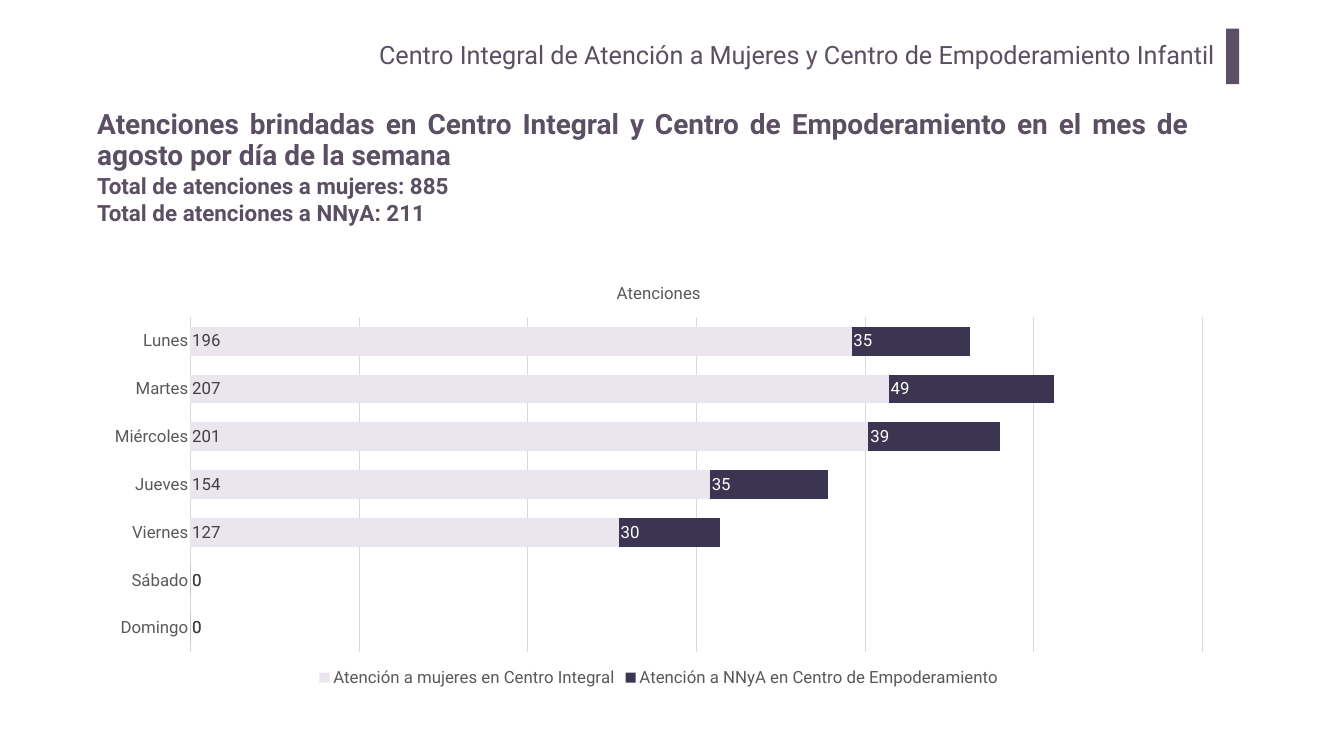
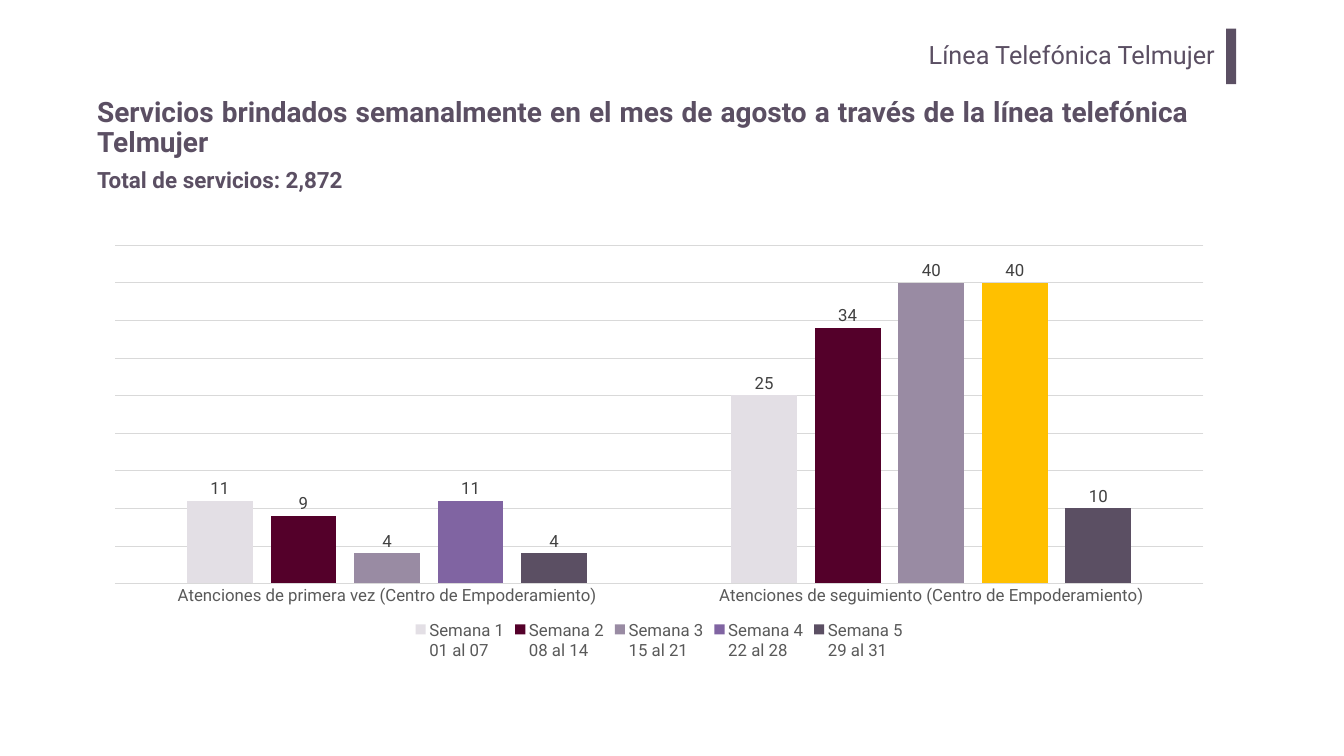
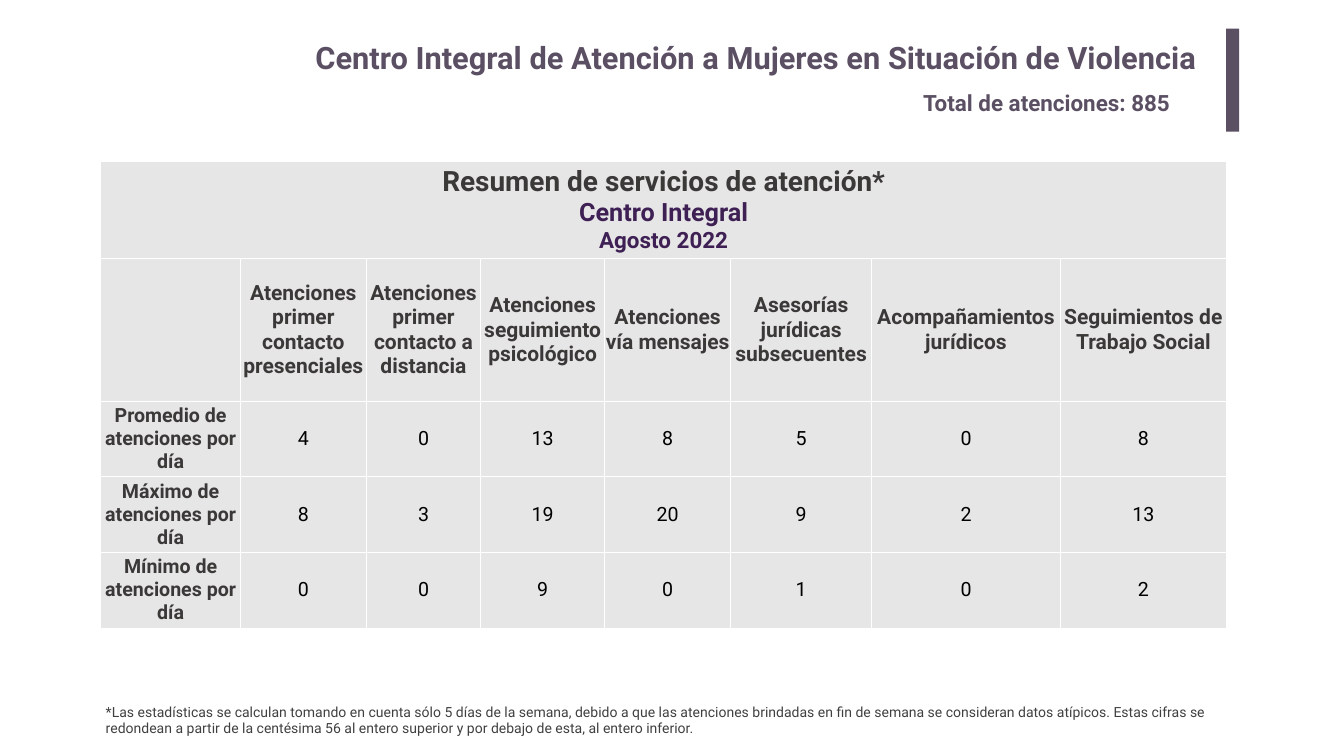
from pptx import Presentation
from pptx.chart.data import CategoryChartData
from pptx.dml.color import RGBColor
from pptx.enum.chart import XL_CHART_TYPE, XL_LABEL_POSITION, XL_LEGEND_POSITION, XL_TICK_MARK
from pptx.enum.shapes import MSO_SHAPE
from pptx.enum.text import MSO_ANCHOR, MSO_AUTO_SIZE, PP_ALIGN
from pptx.oxml.ns import qn
from pptx.util import Inches, Pt
from lxml import etree

LEFT, RIGHT, CENTER, JUSTIFY = PP_ALIGN.LEFT, PP_ALIGN.RIGHT, PP_ALIGN.CENTER, PP_ALIGN.JUSTIFY
TOP, MIDDLE = MSO_ANCHOR.TOP, MSO_ANCHOR.MIDDLE
STACKED_BARS, COLUMNS = XL_CHART_TYPE.BAR_STACKED, XL_CHART_TYPE.COLUMN_CLUSTERED
INSIDE_BASE, OUTSIDE_END = XL_LABEL_POSITION.INSIDE_BASE, XL_LABEL_POSITION.OUTSIDE_END

FONT = "Roboto"
COLORS = {
    "purple": "5B4F63", "white": "FFFFFF", "black": "000000",
    "label": "404040", "axis": "595959", "grid": "D9D9D9",
    "cell": "E7E6E6", "heading": "3B3838", "violet": "3E2054",
    "lilac": "EBE5EF", "navy": "3C3551", "mist": "E3DFE5", "wine": "54002A",
    "mauve": "998BA3", "orchid": "8064A2", "gold": "FFC000",
}


def color(name):
    return RGBColor.from_string(COLORS[name])


def style_font(font, size, tone, bold=False):
    font.name, font.size, font.bold = FONT, Pt(size), bold
    font.color.rgb = color(tone)


def write_text(frame, lines, size=32, tone="purple", bold=False, align=LEFT, spacing=None):
    """Write lines; each is a string or a (string, format changes) pair."""
    if isinstance(lines, str):
        lines = [lines]
    for index, line in enumerate(lines):
        text, changes = (line, {}) if isinstance(line, str) else line
        para = frame.paragraphs[0] if index == 0 else frame.add_paragraph()
        para.alignment = align
        if spacing:
            para.line_spacing = spacing
        span = para.add_run()
        span.text = text
        style_font(span.font, **{"size": size, "tone": tone, "bold": bold, **changes})


class Report:
    def __init__(self):
        self.deck = Presentation()
        self.deck.slide_width, self.deck.slide_height = Inches(26.67), Inches(15)
        self.page = None

    def add_page(self):
        self.page = self.deck.slides.add_slide(self.deck.slide_layouts[6])
        background = self.page.background.fill
        background.solid()
        background.fore_color.rgb = color("white")

    def text(self, area, lines, inset=0.1, anchor=TOP, grow=False, **style):
        box = self.page.shapes.add_textbox(*map(Inches, area))
        frame = box.text_frame
        frame.word_wrap = True
        frame.auto_size = MSO_AUTO_SIZE.SHAPE_TO_FIT_TEXT if grow else MSO_AUTO_SIZE.NONE
        frame.vertical_anchor = anchor
        frame.margin_left = frame.margin_right = Inches(inset)
        frame.margin_top = frame.margin_bottom = Inches(inset / 2)
        write_text(frame, lines, **style)

    def header(self, title, left=4.01, size=36, bold=False, bar_width=0.26, bar_height=1.1):
        self.text((left, 0.67, 20.3, 1.02), title, inset=0.2, size=size, bold=bold, align=RIGHT)
        bar = self.page.shapes.add_shape(
            MSO_SHAPE.RECTANGLE, *map(Inches, (24.33, 0.57, bar_width, bar_height)))
        bar.shadow.inherit = False
        bar.fill.solid()
        bar.fill.fore_color.rgb = color("purple")
        bar.line.fill.background()

    def subtitle(self, top, text):
        self.text((1.83, top, 21.85, 1.45), text, anchor=MIDDLE, size=40, bold=True,
                  align=JUSTIFY, spacing=0.9)

    def total(self, area, lines):
        self.text(area, lines, grow=True, bold=True)

    def chart(self, kind, area, categories, series, label_position, gap, overlap,
              maximum, step, title=None):
        data = CategoryChartData()
        data.categories = categories
        for name, values, _ in series:
            data.add_series(name, values)
        chart = self.page.shapes.add_chart(kind, *map(Inches, area), data).chart
        style_font(chart.font, 24, "axis")

        # Title and legend
        chart.has_title = bool(title)
        if title:
            write_text(chart.chart_title.text_frame, title, size=24, tone="axis", align=CENTER)
        chart.has_legend = True
        chart.legend.position = XL_LEGEND_POSITION.BOTTOM
        chart.legend.include_in_layout = False
        style_font(chart.legend.font, 24, "axis")

        # Axes
        category_axis, value_axis = chart.category_axis, chart.value_axis
        category_axis.major_tick_mark = XL_TICK_MARK.NONE
        style_font(category_axis.tick_labels.font, 24, "axis")
        value_axis.minimum_scale, value_axis.maximum_scale = 0, maximum
        value_axis.major_unit = step
        value_axis.has_major_gridlines = True
        value_axis.visible = False
        for line in (category_axis.format.line, value_axis.major_gridlines.format.line):
            line.color.rgb = color("grid")
            line.width = Pt(0.75)

        # Bars and their labels
        plot = chart.plots[0]
        plot.gap_width, plot.overlap, plot.vary_by_categories = gap, overlap, False
        for bars, (_, _, tone) in zip(plot.series, series):
            bars.invert_if_negative = False
            bars.format.fill.solid()
            bars.format.fill.fore_color.rgb = color(tone)
            bars.data_labels.show_value = True
            bars.data_labels.position = label_position
            style_font(bars.data_labels.font, 24, "label")
        return plot

    def cell(self, cell, lines, **style):
        cell.margin_left = cell.margin_right = cell.margin_top = cell.margin_bottom = 0
        cell.vertical_anchor = MIDDLE
        if lines:
            write_text(cell.text_frame, lines, align=CENTER, **style)
        properties = cell._tc.get_or_add_tcPr()
        for side in ("a:lnL", "a:lnR", "a:lnT", "a:lnB"):
            border = etree.SubElement(properties, qn(side), w=str(Pt(1)))
            paint = etree.SubElement(border, qn("a:solidFill"))
            etree.SubElement(paint, qn("a:srgbClr"), val=COLORS["white"])
        cell.fill.solid()
        cell.fill.fore_color.rgb = color("cell")

    def table(self, area, widths, heights, caption, headings, rows):
        grid = self.page.shapes.add_table(len(heights), len(widths), *map(Inches, area)).table
        for column, width in zip(grid.columns, widths):
            column.width = Inches(width)
        for row, height in zip(grid.rows, heights):
            row.height = Inches(height)
        contents = [[caption] + [""] * (len(widths) - 1), headings, *rows]
        for r, line in enumerate(contents):
            for c, content in enumerate(line):
                label = r < 2 or c == 0
                self.cell(grid.cell(r, c), content, size=30 if r == 1 else 28,
                          tone="heading" if label else "black", bold=label)
        grid.cell(0, 0).merge(grid.cell(0, len(widths) - 1))


def build_weekdays(report):
    report.add_page()
    report.header("Centro Integral de Atención a Mujeres y Centro de Empoderamiento Infantil")
    report.subtitle(2.07, "Atenciones brindadas en Centro Integral y Centro de Empoderamiento "
                          "en el mes de agosto por día de la semana")
    report.total((1.83, 3.36, 8.12, 1.18),
                 ["Total de atenciones a mujeres: 885", "Total de atenciones a NNyA: 211"])
    children = (0, 0, 30, 35, 39, 49, 35)
    plot = report.chart(
        STACKED_BARS, (1.83, 5.31, 22.48, 8.4),
        ["Domingo", "Sábado", "Viernes", "Jueves", "Miércoles", "Martes", "Lunes"],
        [("Atención a mujeres en Centro Integral", (0, 0, 127, 154, 201, 207, 196), "lilac"),
         ("Atención a NNyA en Centro de Empoderamiento", children, "navy")],
        INSIDE_BASE, gap=65, overlap=100, maximum=300, step=50, title="Atenciones")
    # White labels on the dark bars
    for index, value in enumerate(children):
        if value:
            label = plot.series[1].points[index].data_label
            style_font(label.font, 24, "white")
            label.position = INSIDE_BASE


def build_phone_line(report):
    report.add_page()
    report.header("Línea Telefónica Telmujer", bar_width=0.2)
    report.subtitle(1.82, "Servicios brindados semanalmente en el mes de agosto a través "
                          "de la línea telefónica Telmujer")
    report.total((1.83, 3.24, 5.64, 0.64), "Total de servicios: 2,872")
    weeks = [("01 al 07", (11, 25), "mist"), ("08 al 14", (9, 34), "wine"),
             ("15 al 21", (4, 40), "mauve"), ("22 al 28", (11, 40), "orchid"),
             ("29 al 31", (4, 10), "purple")]
    plot = report.chart(
        COLUMNS, (1.83, 4.69, 22.5, 8.49),
        [f"Atenciones de {kind} (Centro de Empoderamiento)"
         for kind in ("primera vez", "seguimiento")],
        [(f"Semana {number}\n{days}", values, tone)
         for number, (days, values, tone) in enumerate(weeks, 1)],
        OUTSIDE_END, gap=219, overlap=-27, maximum=45, step=5)
    highlight = plot.series[3].points[1].format.fill
    highlight.solid()
    highlight.fore_color.rgb = color("gold")


def build_summary(report):
    report.add_page()
    report.table(
        (2, 3.21, 22.33, 9.24),
        widths=(2.77, 2.5, 2.27, 2.46, 2.5, 2.8, 3.74, 3.3),
        heights=(1.92, 2.83, 1.5, 1.5, 1.5),
        caption=[("Resumen de servicios de atención*", {"size": 40}),
                 ("Centro Integral", {"size": 36, "tone": "violet"}),
                 ("Agosto 2022", {"size": 32, "tone": "violet"})],
        headings=["", "Atenciones primer contacto presenciales",
                  "Atenciones primer contacto a distancia", "Atenciones seguimiento psicológico",
                  "Atenciones vía mensajes", "Asesorías jurídicas subsecuentes",
                  "Acompañamientos jurídicos", "Seguimientos de Trabajo Social"],
        rows=[[f"{measure} de atenciones por día", *map(str, values)] for measure, values in (
            ("Promedio", (4, 0, 13, 8, 5, 0, 8)),
            ("Máximo", (8, 3, 19, 20, 9, 2, 13)),
            ("Mínimo", (0, 0, 9, 0, 1, 0, 2)))])
    report.header("Centro Integral de Atención a Mujeres en Situación de Violencia",
                  left=3.66, size=44, bold=True, bar_height=2.04)
    report.total((18.22, 1.71, 5.92, 0.64), "Total de atenciones: 885")
    report.text((2, 13.9, 22.33, 0.77),
                "*Las estadísticas se calculan tomando en cuenta sólo 5 días de la semana, debido a "
                "que las atenciones brindadas en fin de semana se consideran datos atípicos. Estas "
                "cifras se redondean a partir de la centésima 56 al entero superior y por debajo de "
                "esta, al entero inferior.", grow=True, size=20, tone="label")


def main():
    report = Report()
    build_weekdays(report)
    build_phone_line(report)
    build_summary(report)
    report.deck.save("out.pptx")


if __name__ == "__main__":
    main()
